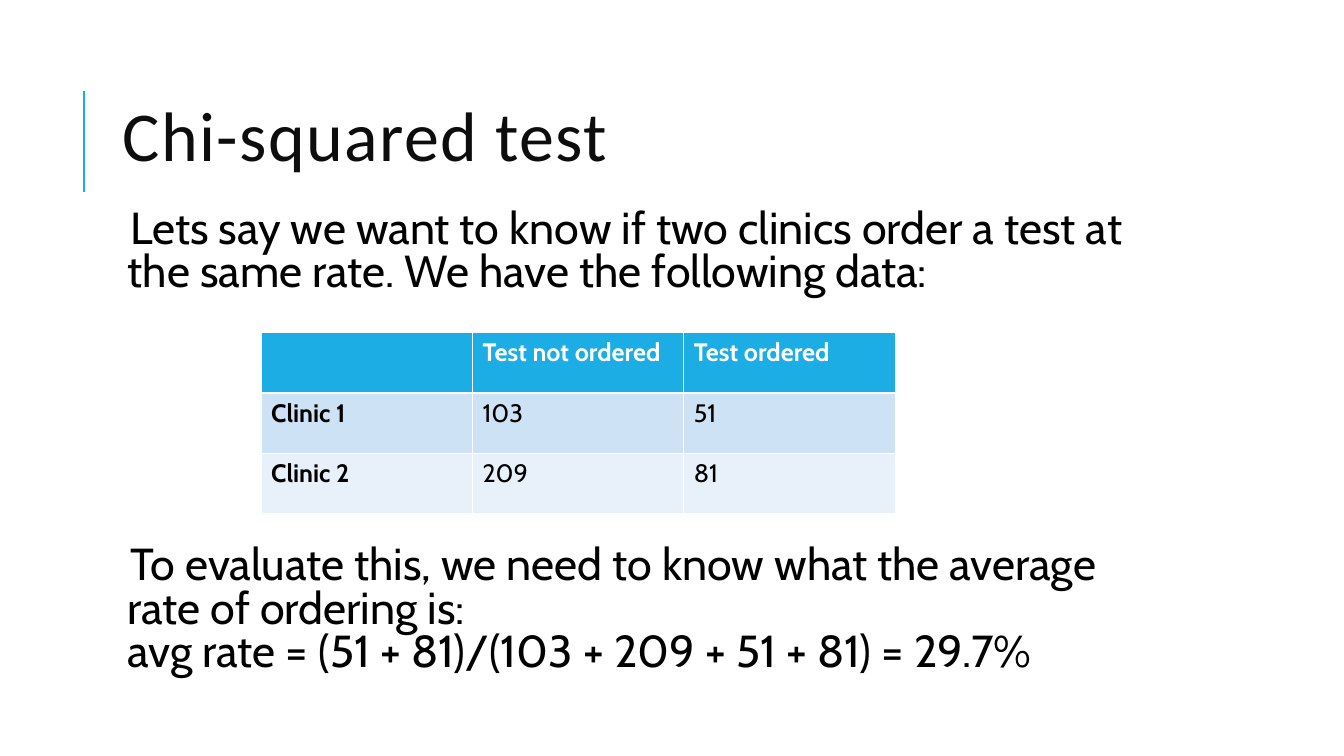
from lxml import etree
from pptx import Presentation
from pptx import util as u
from pptx.dml.color import RGBColor
from pptx.enum import shapes, text
from pptx.oxml import ns

BLUE = RGBColor(0x1C, 0xAD, 0xE4)
PALE = RGBColor(0xCD, 0xE3, 0xF5)
MIST = RGBColor(0xE8, 0xF1, 0xFA)
WHITE = RGBColor(0xFF, 0xFF, 0xFF)
BLACK = RGBColor(0, 0, 0)
INK = RGBColor(0x0D, 0x0D, 0x0D)

ROWS = [
    ("", "Test not ordered", "Test ordered"),
    ("Clinic 1", "103", "51"),
    ("Clinic 2", "209", "81"),
]
INTRO = ("Lets say we want to know if two clinics order a test at the same rate. "
         "We have the following data:")
RATE = ("To evaluate this, we need to know what the average rate of ordering is:\v"
        "avg rate = (51 + 81)/(103 + 209 + 51 + 81) = 29.7%")


def apply(item, form):
    """Set each attribute named in form on item."""
    for key, value in form.items():
        setattr(item, key, value)


class Page:
    def __init__(self, deck):
        self.slide = deck.slides.add_slide(deck.slide_layouts[1])
        self.face = "Cabin"

    def place(self, shape, left, top, width, height):
        apply(shape, dict(left=u.Cm(left), top=u.Cm(top),
                          width=u.Cm(width), height=u.Cm(height)))

    def label(self, para, words, size, color, name=None, bold=False):
        para.text = words
        for run in para.runs:
            apply(run.font, dict(name=name or self.face, size=u.Pt(size), bold=bold))
            run.font.color.rgb = color

    def title(self, words, *box):
        shape = self.slide.shapes.title
        self.place(shape, *box)
        apply(shape.text_frame, dict(vertical_anchor=text.MSO_ANCHOR.MIDDLE,
                                     auto_size=text.MSO_AUTO_SIZE.NONE))
        para = shape.text_frame.paragraphs[0]
        self.label(para, words, 50, INK, "Calibri")
        apply(para, dict(alignment=text.PP_ALIGN.LEFT, line_spacing=0.8))
        para.runs[0].font._element.set("spc", "100")

    def bullet(self, para):
        props = para._p.get_or_add_pPr()
        props.set("marL", str(u.Cm(0.25)))
        props.set("indent", str(-u.Cm(0.25)))
        tint = etree.SubElement(props, ns.qn("a:buClr"))
        etree.SubElement(tint, ns.qn("a:srgbClr"), val=str(BLUE))
        etree.SubElement(props, ns.qn("a:buChar"), char=" ")

    def body(self, items, *box):
        """Fill the body with (words, space before) pairs."""
        shape = self.slide.placeholders[1]
        self.place(shape, *box)
        frame = shape.text_frame
        frame.auto_size = text.MSO_AUTO_SIZE.NONE
        for side in ("left", "top", "right", "bottom"):
            setattr(frame, f"margin_{side}", u.Cm(0.13))
        for i, (words, gap) in enumerate(items):
            para = frame.add_paragraph() if i else frame.paragraphs[0]
            self.bullet(para)
            self.label(para, words, 32, BLACK)
            apply(para, dict(line_spacing=0.8, space_before=u.Pt(gap),
                             space_after=u.Pt(2)))

    def rule(self, x, top, end):
        line = self.slide.shapes.add_connector(
            shapes.MSO_CONNECTOR.STRAIGHT, u.Cm(x), u.Cm(end), u.Cm(x), u.Cm(top))
        line.line.color.rgb = BLUE
        line.line.width = u.Pt(1.5)
        etree.SubElement(line._element.spPr, ns.qn("a:effectLst"))

    def table(self, rows, *box):
        grid = self.slide.shapes.add_table(
            len(rows), len(rows[0]), *map(u.Cm, box)).table
        for r, row in enumerate(rows):
            for c, words in enumerate(row):
                cell = grid.cell(r, c)
                cell.fill.solid()
                cell.fill.fore_color.rgb = (BLUE, PALE, MIST)[r]
                self.label(cell.text_frame.paragraphs[0], words, 18,
                           BLACK if r else WHITE, bold=r == 0 or c == 0)


def main():
    deck = Presentation()
    apply(deck, dict(slide_width=u.Cm(33.87), slide_height=u.Cm(19.05)))
    page = Page(deck)
    page.rule(2.11, 2.29, 4.83)
    page.title("Chi-squared test", 2.84, 1.47, 27, 4.17)
    page.body([(INTRO, 0), (RATE, 177)], 2.84, 5.16, 27, 13)
    page.table(ROWS, 6.58, 8.38, 15.98, 4.57)
    deck.save("out.pptx")


if __name__ == "__main__":
    main()
